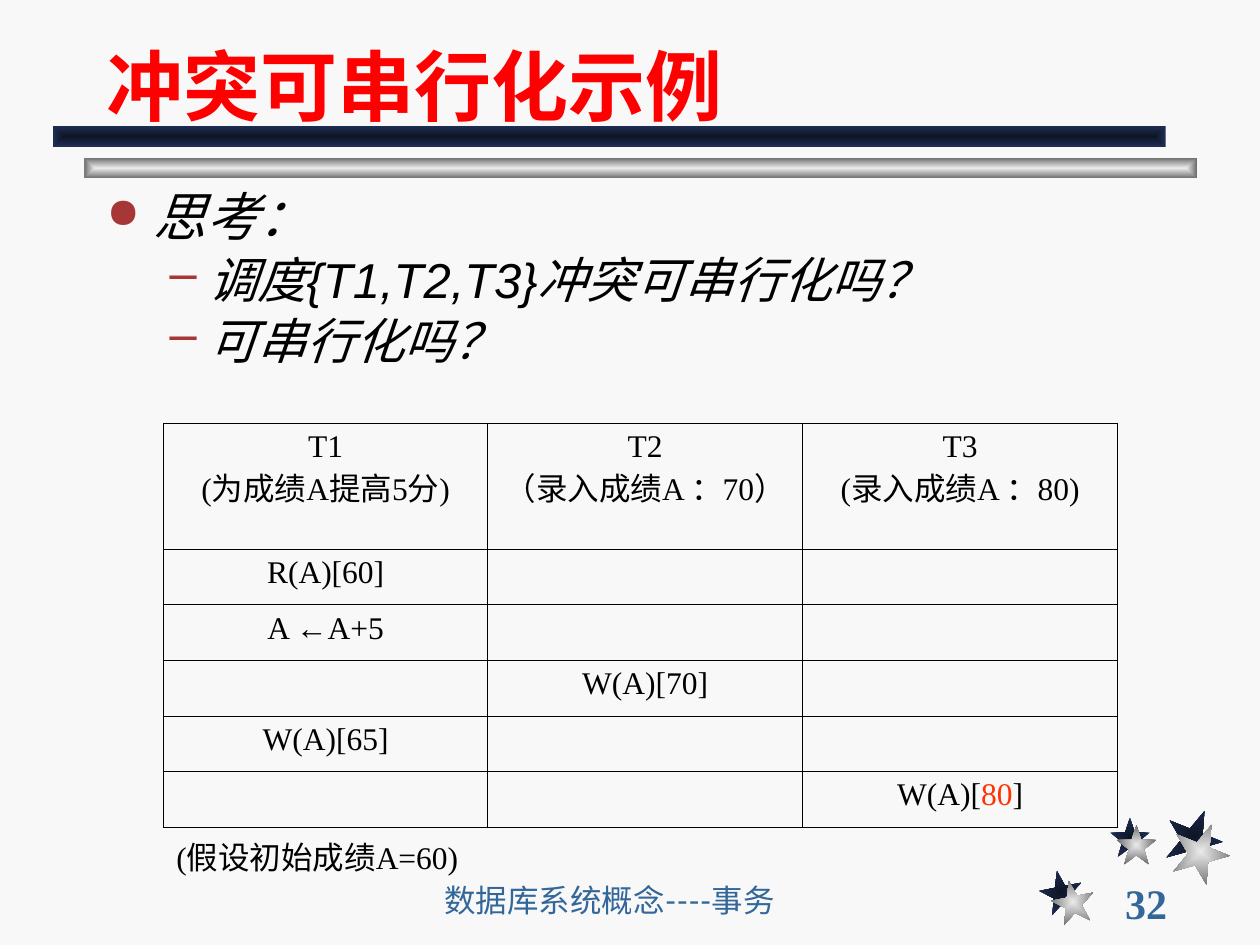
import lxml.etree
import pptx
import pptx.dml.color
import pptx.enum.shapes
import pptx.enum.text
import pptx.oxml.ns
import pptx.util

Cm = pptx.util.Cm
Pt = pptx.util.Pt
qn = pptx.oxml.ns.qn
ANCHOR = pptx.enum.text.MSO_ANCHOR

NAVY = ("0E1526", "1E2E53")
SILVER = ("EAEAEA", "6C6C6C")
STAR = [(0, .38), (.38, .38), (.5, 0), (.62, .38), (1, .38),
        (.69, .62), (.81, 1), (.5, .76), (.19, 1), (.31, .62)]
STAR_PAIRS = [
    (349, .86, [(20.96, 17.55), (21.2, 17.75)]),
    (0, .8, [(22.38, 16.48), (22.51, 16.63)]),
    (22, 1.15, [(23.49, 16.31), (23.63, 16.59)]),
]
HEADERS = [("T1", "(为成绩A提高5分)"), ("T2", "（录入成绩A ：70）"), ("T3", "(录入成绩A ：80)")]
STEPS = [
    (0, [("R(A)[60]", "000000")]),
    (0, [("A ←A+5", "000000")]),
    (1, [("W(A)[70]", "000000")]),
    (0, [("W(A)[65]", "000000")]),
    (2, [("W(A)[", "000000"), ("80", "FF3300"), ("]", "000000")]),
]


def rgb(value):
    return pptx.dml.color.RGBColor.from_string(value)


def add_xml(parent, tag, **attrs):
    return lxml.etree.SubElement(parent, qn(tag), {k: str(v) for k, v in attrs.items()})


class Deck:
    """Holds the style and the current slide, and draws each kind of element."""

    def __init__(self):
        self.prs = pptx.Presentation()
        self.prs.slide_width, self.prs.slide_height = Cm(25.4), Cm(19.05)
        self.s = self.prs.slides.add_slide(self.prs.slide_layouts[6])
        self.s.background.fill.solid()
        self.s.background.fill.fore_color.rgb = rgb("F8F8F8")

    def shade(self, sp, colors):
        sp.shadow.inherit = False
        sp.line.fill.background()
        sp.fill.gradient()
        for stop, color in zip(sp.fill.gradient_stops, colors):
            stop.color.rgb = rgb(color)
        grad = sp._element.spPr.find(qn("a:gradFill"))
        grad.remove(grad.find(qn("a:lin")))
        route = add_xml(grad, "a:path", path="rect")
        add_xml(route, "a:fillToRect", l=50000, t=50000, r=50000, b=50000)

    def star(self, x, y, size, angle, colors):
        points = [(Cm(x + size * u), Cm(y + size * v)) for u, v in STAR]
        fb = self.s.shapes.build_freeform(*points[0])
        fb.add_line_segments(points[1:], close=True)
        sp = fb.convert_to_shape()
        sp.rotation = angle
        self.shade(sp, colors)

    def bar(self, x, y, colors):
        kind = pptx.enum.shapes.MSO_SHAPE.RECTANGLE
        self.shade(self.s.shapes.add_shape(kind, Cm(x), Cm(y), Cm(22.43), Cm(.42)), colors)

    def run(self, p, text, size, font, color, bold=False, italic=False):
        r = p.add_run()
        r.text = text
        r.font.size, r.font.name = Pt(size), font
        r.font.bold, r.font.italic = bold, italic
        r.font.color.rgb = rgb(color)

    def box(self, x, y, w, h, anchor=ANCHOR.TOP, wrap=True):
        tf = self.s.shapes.add_textbox(Cm(x), Cm(y), Cm(w), Cm(h)).text_frame
        tf.word_wrap, tf.vertical_anchor = wrap, anchor
        return tf

    def indent(self, p, left, hanging):
        pPr = p._p.get_or_add_pPr()
        pPr.set("marL", str(Cm(left)))
        pPr.set("indent", str(-Cm(hanging)))
        return pPr

    def bullets(self, tf, items):
        for i, (level, text, size) in enumerate(items):
            p = tf.add_paragraph() if i else tf.paragraphs[0]
            left, hanging, mark, scale = [(.95, .95, "●", 80), (2.06, .79, "–", 100)][level]
            pPr = self.indent(p, left, hanging)
            add_xml(add_xml(pPr, "a:buClr"), "a:srgbClr", val="A73737")
            add_xml(pPr, "a:buSzPct", val=scale * 1000)
            add_xml(pPr, "a:buChar", char=mark)
            p.level, p.line_spacing = level, .83
            if i:
                p.space_before = Pt(7)
            self.run(p, text, size, "Arial", "000000", italic=True)

    def borders(self, cell, sides):
        tcPr = cell._tc.get_or_add_tcPr()
        for i, side in enumerate("LRTB"):
            ln = add_xml(tcPr, "a:ln" + side, w=Pt(.45))
            if side in sides:
                add_xml(add_xml(ln, "a:solidFill"), "a:srgbClr", val="000000")
            else:
                add_xml(ln, "a:noFill")
            tcPr.insert(i, ln)

    def cell_line(self, p, runs, centred=True):
        self.indent(p, .95, .95)
        if centred:
            p.alignment = pptx.enum.text.PP_ALIGN.CENTER
        for text, color in runs:
            self.run(p, text, 18, "Times New Roman", color)

    def schedule(self, x, y, widths, heights):
        frame = self.s.shapes.add_table(len(heights), len(widths), Cm(x), Cm(y),
                                        Cm(sum(widths)), Cm(sum(heights)))
        tbl = frame.table
        tbl.first_row = tbl.horz_banding = False
        for col, w in zip(tbl.columns, widths):
            col.width = Cm(w)
        last = len(heights) - 1
        for i, h in enumerate(heights):
            tbl.rows[i].height = Cm(h)
            for cell in tbl.rows[i].cells:
                cell.fill.background()
                self.borders(cell, "T" if i == last else "LRTB")
        for j, (name, task) in enumerate(HEADERS):
            tf = tbl.cell(0, j).text_frame
            self.cell_line(tf.paragraphs[0], [(name, "000000")])
            self.cell_line(tf.add_paragraph(), [(task, "000000")])
        for i, (j, runs) in enumerate(STEPS, 1):
            self.cell_line(tbl.cell(i, j).text_frame.paragraphs[0], runs)
        note = tbl.cell(last, 0)
        note.merge(tbl.cell(last, len(widths) - 1))
        self.cell_line(note.text_frame.paragraphs[0], [("(假设初始成绩A=60)", "000000")], False)


def main():
    deck = Deck()
    for layer, colors in enumerate((NAVY, SILVER)):
        for angle, size, corners in STAR_PAIRS:
            deck.star(*corners[layer], size, angle, colors)
    deck.bar(1.7, 3.18, SILVER)
    deck.bar(1.07, 2.54, NAVY)

    tf = deck.box(22.43, 17.78, 2.74, .84, ANCHOR.MIDDLE, wrap=False)
    deck.run(tf.paragraphs[0], "32", 24, "Times New Roman", "336699", bold=True)
    tf = deck.box(8.71, 17.73, 11.4, .91, ANCHOR.BOTTOM)
    deck.run(tf.paragraphs[0], "数据库系统概念----事务", 18, "Lato", "336699")
    tf = deck.box(1.9, .43, 21.59, 2.34, ANCHOR.BOTTOM)
    deck.run(tf.paragraphs[0], "冲突可串行化示例", 44, "Arial", "FF0000", bold=True)

    deck.schedule(3.3, 8.53, [6.53, 6.35, 6.35], [2.54] + [1.12] * 6)
    deck.bullets(deck.box(1.9, 3.81, 21.59, 4.52), [
        (0, "思考：", 30),
        (1, "调度{T1,T2,T3}冲突可串行化吗？", 28),
        (1, "可串行化吗？", 28),
    ])
    deck.prs.save("out.pptx")


if __name__ == "__main__":
    main()
